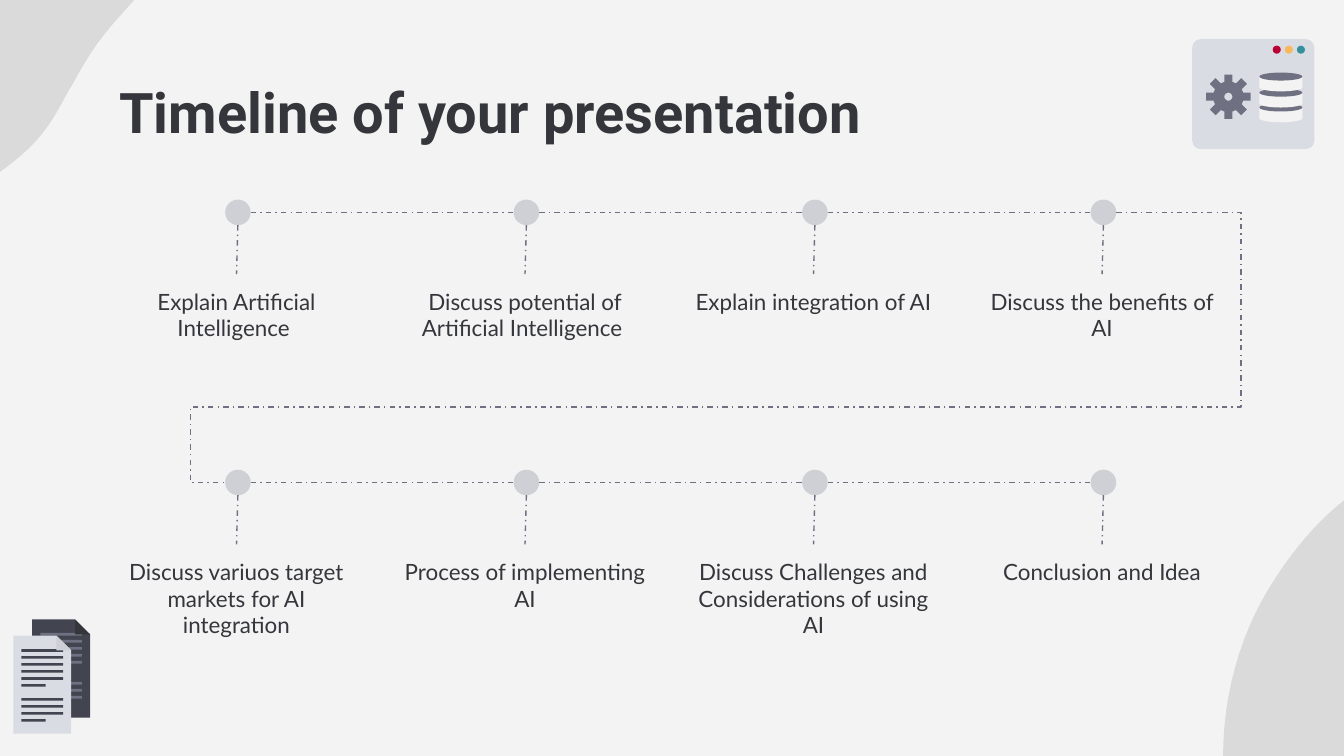
from math import cos, pi, sin

from lxml.etree import SubElement
from pptx import Presentation
from pptx.dml.color import RGBColor
from pptx.enum.dml import MSO_LINE_DASH_STYLE as Dash
from pptx.enum.shapes import MSO_CONNECTOR as Conn, MSO_SHAPE as Shape
from pptx.enum.text import PP_ALIGN as Align
from pptx.oxml.ns import qn
from pptx.util import Inches, Pt

TEXT, INK, SLATE = "35363B", "42444F", "6F7082"
PALE, SILVER, PAPER = "D9DDE3", "CED0D6", "F3F3F3"

STEPS = [
    ["Explain Artificial Intelligence ", "Discuss potential of Artificial Intelligence ",
     "Explain integration of AI", "Discuss the benefits of AI"],
    ["Discuss variuos target markets for AI integration", "Process of implementing AI",
     "Discuss Challenges and Considerations of using AI", "Conclusion and Idea"],
]
LEFT, RIGHT = 1.77, 8.21     # first and last dot centres
STEP = (RIGHT - LEFT) / 3
TOP, DROP = 1.58, 2.01       # first row centre, distance between rows
DOT = 0.19
RAD = DOT / 2

# Each blob is a start point followed by Bezier segments
RIGHT_BLOB = (10.75, 3.48), [
    (10.93, 3.5, 11.16, 3.57, 11.37, 3.78), (11.84, 4.24, 12.02, 5.08, 12.18, 5.75),
    (12.34, 6.42, 12.15, 7.07, 11.73, 7.34), (11.62, 7.4, 11.53, 7.42, 11.44, 7.41),
    (11.17, 7.39, 10.94, 7.11, 10.53, 7.05), (10.46, 7.04, 10.4, 7.04, 10.34, 7.03),
    (10.27, 7.02, 10.21, 7.02, 10.15, 7.01), (9.87, 6.99, 9.71, 6.94, 9.4, 6.6),
    (8.99, 6.12, 9, 5.1, 9.44, 4.38), (9.87, 3.67, 10.34, 3.52, 10.34, 3.52),
    (10.34, 3.52, 10.51, 3.46, 10.75, 3.48)]
LEFT_BLOB = (-0.88, -0.23), [
    (-0.8, -0.38, -0.68, -0.54, -0.51, -0.67), (-0.12, -0.98, 0.32, -0.99, 0.68, -1.01),
    (1.04, -1.04, 1.25, -0.79, 1.21, -0.42), (1.2, -0.33, 1.17, -0.25, 1.13, -0.18),
    (1.02, 0.02, 0.81, 0.16, 0.63, 0.47), (0.6, 0.52, 0.57, 0.57, 0.55, 0.61),
    (0.52, 0.66, 0.49, 0.71, 0.47, 0.75), (0.35, 0.97, 0.26, 1.09, 0, 1.28),
    (-0.37, 1.53, -0.82, 1.36, -0.97, 0.92), (-1.13, 0.47, -1.01, 0.09, -1.01, 0.09),
    (-1.01, 0.09, -0.97, -0.06, -0.88, -0.23)]


def color(code):
    return RGBColor.from_string(code)


def paint(item, code):
    item.shadow.inherit = False
    item.fill.solid()
    item.fill.fore_color.rgb = color(code)
    item.line.fill.background()
    return item


def preset(shapes, kind, x, y, w, h, code):
    return paint(shapes.add_shape(kind, Inches(x), Inches(y), Inches(w), Inches(h)), code)


def outline(shapes, code, *rings):
    rings = [[(Inches(x), Inches(y)) for x, y in ring] for ring in rings]
    pen = shapes.build_freeform(*rings[0][0])
    pen.add_line_segments(rings[0][1:], close=True)
    for ring in rings[1:]:
        pen.move_to(*ring[0])
        pen.add_line_segments(ring[1:], close=True)
    return paint(pen.convert_to_shape(), code)


def arc(x, y, rx, ry, end, count=24):
    """Points on an ellipse from angle 0 to end, clockwise on the slide."""
    turns = [end * i / count for i in range(count + 1)]
    return [(x + rx * cos(t), y + ry * sin(t)) for t in turns]


def blob(shapes, start, curves, count=24):
    points = [start]
    for ax, ay, bx, by, ex, ey in curves:
        sx, sy = points[-1]
        for i in range(1, count + 1):
            t = i / count
            u = 1 - t
            mix = u ** 3, 3 * u * u * t, 3 * u * t * t, t ** 3
            points.append((sum(m * v for m, v in zip(mix, (sx, ax, bx, ex))),
                           sum(m * v for m, v in zip(mix, (sy, ay, by, ey)))))
    item = outline(shapes, "000000", points)
    tint = next(item._element.spPr.iter(qn("a:srgbClr")))
    SubElement(tint, qn("a:alpha"), val="10000")


def page(shapes, x, y, code, fold, ink):
    w, h, cut = 0.43, 0.73, 0.11
    outline(shapes, code, [(x, y), (x + w - cut, y), (x + w, y + cut),
                           (x + w, y + h), (x, y + h)])
    for row in (0, 1, 2, 3, 4, 5, 7, 8, 9, 10):
        last = row in (5, 10)
        preset(shapes, Shape.RECTANGLE, x + 0.06, y + 0.1 + row * 0.052,
               0.18 if last else 0.31, 0.02, INK if last else ink)
    outline(shapes, fold, [(x + w - cut, y), (x + w, y + cut), (x + w - cut, y + cut)])


def gear(shapes, x, y):
    teeth = []
    for k in range(8):
        c, s = cos(k * pi / 4), sin(k * pi / 4)
        for a, b in ((-0.03, -0.11), (-0.03, -0.165), (0.03, -0.165), (0.03, -0.11)):
            teeth.append((x + a * c - b * s, y + a * s + b * c))
    outline(shapes, SLATE, teeth, arc(x, y, 0.03, 0.03, 2 * pi)[::-1])


def window(shapes):
    frame = preset(shapes, Shape.ROUNDED_RECTANGLE, 8.87, 0.29, 0.91, 0.82, PALE)
    frame.adjustments[0] = 0.08
    for i, code in enumerate(("BA0034", "F8B85E", "34909D")):
        preset(shapes, Shape.OVAL, 9.47 + i * 0.09, 0.34, 0.06, 0.06, code)
    gear(shapes, 9.14, 0.72)
    # Database: three discs from the bottom up
    for y in (0.8, 0.69, 0.57):
        outline(shapes, PAPER, [(9.37, y), (9.69, y)] + arc(9.53, y + 0.08, 0.16, 0.03, pi))
        preset(shapes, Shape.OVAL, 9.37, y - 0.03, 0.32, 0.06, SLATE)


def text(shapes, words, x, y, w, h, font, size, align=Align.LEFT, bold=False):
    frame = shapes.add_textbox(Inches(x), Inches(y), Inches(w), Inches(h)).text_frame
    frame.word_wrap = True
    frame.margin_left = frame.margin_right = Inches(0.1)
    frame.margin_top = frame.margin_bottom = Inches(0.1)
    para = frame.paragraphs[0]
    para.text = words
    para.alignment = align
    para.font.name, para.font.size, para.font.bold = font, Pt(size), bold
    para.font.color.rgb = color(TEXT)


def link(shapes, x1, y1, x2, y2, kind=Conn.STRAIGHT):
    line = shapes.add_connector(kind, Inches(x1), Inches(y1), Inches(x2), Inches(y2))
    line.line.color.rgb = color(SLATE)
    line.line.width = Pt(0.75)
    line.line.dash_style = Dash.DASH_DOT
    SubElement(line._element.spPr, qn("a:effectLst"))
    return line


def bend(shapes, x1, y1, x2, y2, *stops):
    geom = link(shapes, x1, y1, x2, y2, Conn.ELBOW)._element.spPr.find(qn("a:prstGeom"))
    geom.set("prst", "bentConnector5")
    for old in list(geom):
        geom.remove(old)
    guides = SubElement(geom, qn("a:avLst"))
    for i, stop in enumerate(stops, 1):
        SubElement(guides, qn("a:gd"), name=f"adj{i}", fmla=f"val {stop}")


def steps(shapes, words, y):
    for i, label in enumerate(words):
        x = LEFT + i * STEP
        preset(shapes, Shape.OVAL, x - RAD, y - RAD, DOT, DOT, SILVER)
        text(shapes, label, x - 1.01, y + 0.46, 2, 0.88, "Lato", 12, Align.CENTER)
        link(shapes, x, y + RAD, x - 0.01, y + 0.46)
        if i:
            link(shapes, x - STEP + RAD, y, x - RAD, y)


def main():
    deck = Presentation()
    deck.slide_width = Inches(10)
    deck.slide_height = Inches(10) * 9 // 16
    slide = deck.slides.add_slide(deck.slide_layouts[6])
    slide.background.fill.solid()
    slide.background.fill.fore_color.rgb = color(PAPER)
    shapes = slide.shapes

    # Decoration
    blob(shapes, *RIGHT_BLOB)
    papers = shapes.add_group_shape().shapes
    page(papers, 0.24, 4.61, INK, TEXT, SLATE)
    page(papers, 0.1, 4.73, PALE, SILVER, INK)
    blob(shapes, *LEFT_BLOB)
    window(shapes.add_group_shape().shapes)

    # Title and timeline
    text(shapes, "Timeline of your presentation", 0.79, 0.48, 8.43, 0.63,
         "Roboto", 30, bold=True)
    for row, words in enumerate(STEPS):
        steps(shapes, words, TOP + row * DROP)
    bend(shapes, RIGHT + RAD, TOP, LEFT - RAD, TOP + DROP, -14000, 72100, 103900)

    deck.save("out.pptx")


if __name__ == "__main__":
    main()
